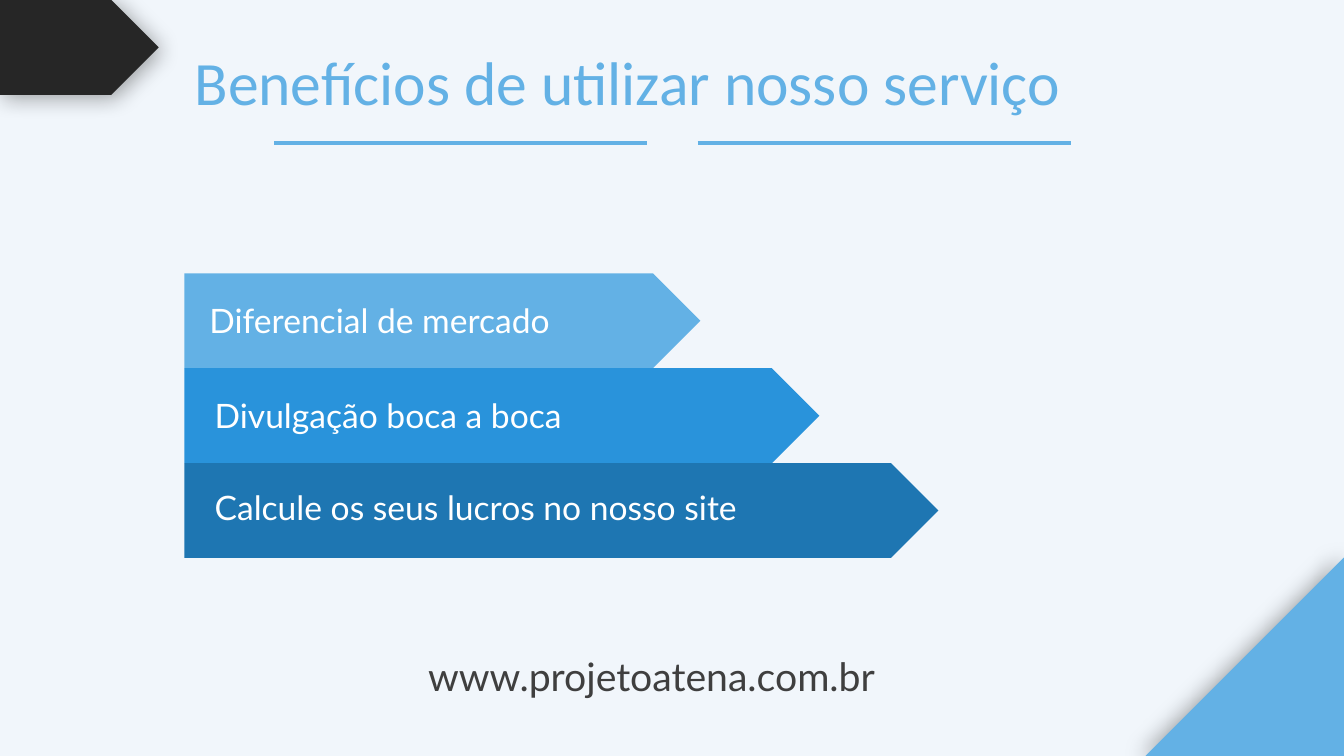
from lxml import etree
from pptx import Presentation
from pptx.dml.color import RGBColor as Rgb
from pptx.enum.shapes import MSO_CONNECTOR as Link, MSO_SHAPE as Form
from pptx.enum.text import MSO_ANCHOR as Anchor, MSO_AUTO_SIZE as Fit, PP_ALIGN as Align
from pptx.oxml import parse_xml
from pptx.oxml.ns import nsdecls, qn
from pptx.util import Cm, Pt

SKY, BLUE, NAVY = "63B1E5", "2993DB", "1E76B2"
DARK, GREY, WHITE, PALE = "262626", "3F3F3F", "FFFFFF", "F1F6FB"


def paint(fill, tone):
    """Give a fill one solid colour."""
    fill.solid()
    fill.fore_color.rgb = Rgb.from_string(tone)


def block(slide, form, box, tone):
    """Add a plain filled shape without outline."""
    shape = slide.shapes.add_shape(form, *map(Cm, box))
    shape.shadow.inherit = False
    paint(shape.fill, tone)
    shape.line.fill.background()
    return shape


def shade(shape, angle):
    """Cast a soft black shadow towards an angle in degrees."""
    props = shape._element.spPr
    props.remove(props.find(qn("a:effectLst")))
    props.append(parse_xml(
        f'<a:effectLst {nsdecls("a")}><a:outerShdw blurRad="{Pt(16)}" dist="{Pt(3)}" '
        f'dir="{angle * 60000}" algn="ctr" rotWithShape="0"><a:srgbClr val="000000">'
        '<a:alpha val="34000"/></a:srgbClr></a:outerShdw></a:effectLst>'))


def write(shape, text, face, size, tone):
    """Set left-aligned text from the top of a shape."""
    frame = shape.text_frame
    frame.text = text
    frame.word_wrap = True
    frame.auto_size = Fit.SHAPE_TO_FIT_TEXT
    frame.vertical_anchor = Anchor.TOP
    line = frame.paragraphs[0]
    line.alignment = Align.LEFT
    line.font.name, line.font.size = face, Pt(size)
    line.font.color.rgb = Rgb.from_string(tone)


def label(slide, box, text, size, tone):
    """Add a Lato text box."""
    write(slide.shapes.add_textbox(*map(Cm, box)), text, "Lato", size, tone)


def head(slide, text):
    """Place and format the title."""
    title = slide.shapes.title
    title.left, title.top, title.width, title.height = map(Cm, (4.65, 0.97, 26.87, 2.13))
    write(title, text, "Calibri", 44, SKY)


def rule(slide, left, top, width):
    """Draw a level line."""
    line = slide.shapes.add_connector(
        Link.STRAIGHT, Cm(left), Cm(top), Cm(left + width), Cm(top))
    line.line.color.rgb = Rgb.from_string(SKY)
    line.line.width = Pt(3)
    etree.SubElement(line._element.spPr, qn("a:effectLst"))


def main():
    """Build and save the slide."""
    deck = Presentation()
    deck.slide_width, deck.slide_height = Cm(33.87), Cm(19.05)
    slide = deck.slides.add_slide(deck.slide_layouts[5])
    paint(slide.background.fill, PALE)

    shade(block(slide, Form.PENTAGON, (0, 0, 4, 2.39), DARK), 45)
    side = 5
    corner = block(slide, Form.RIGHT_TRIANGLE, (33.87 - side, 19.05 - side, side, side), SKY)
    corner._element.spPr.find(qn("a:xfrm")).set("flipH", "1")
    shade(corner, 180)

    head(slide, "Benefícios de utilizar nosso serviço")
    for left in (6.91, 17.58):
        rule(slide, left, 3.61, 9.4)

    gains = [
        (SKY, "Diferencial de mercado", 5.03, 7.44, 9.27),
        (BLUE, "Divulgação boca a boca", 5.16, 9.83, 10.92),
        (NAVY, "Calcule os seus lucros no nosso site", 5.16, 12.14, 14.05),
    ]
    for row, (tone, text, left, top, width) in enumerate(gains):
        block(slide, Form.PENTAGON, (4.65, 6.89 + 2.39 * row, 13 + 3 * row, 2.39), tone)
        label(slide, (left, top, width, 1.27), text, 24, WHITE)

    label(slide, (10.54, 16.31, 12.78, 1.45), "www.projetoatena.com.br", 28, GREY)
    deck.save("out.pptx")


if __name__ == "__main__":
    main()
